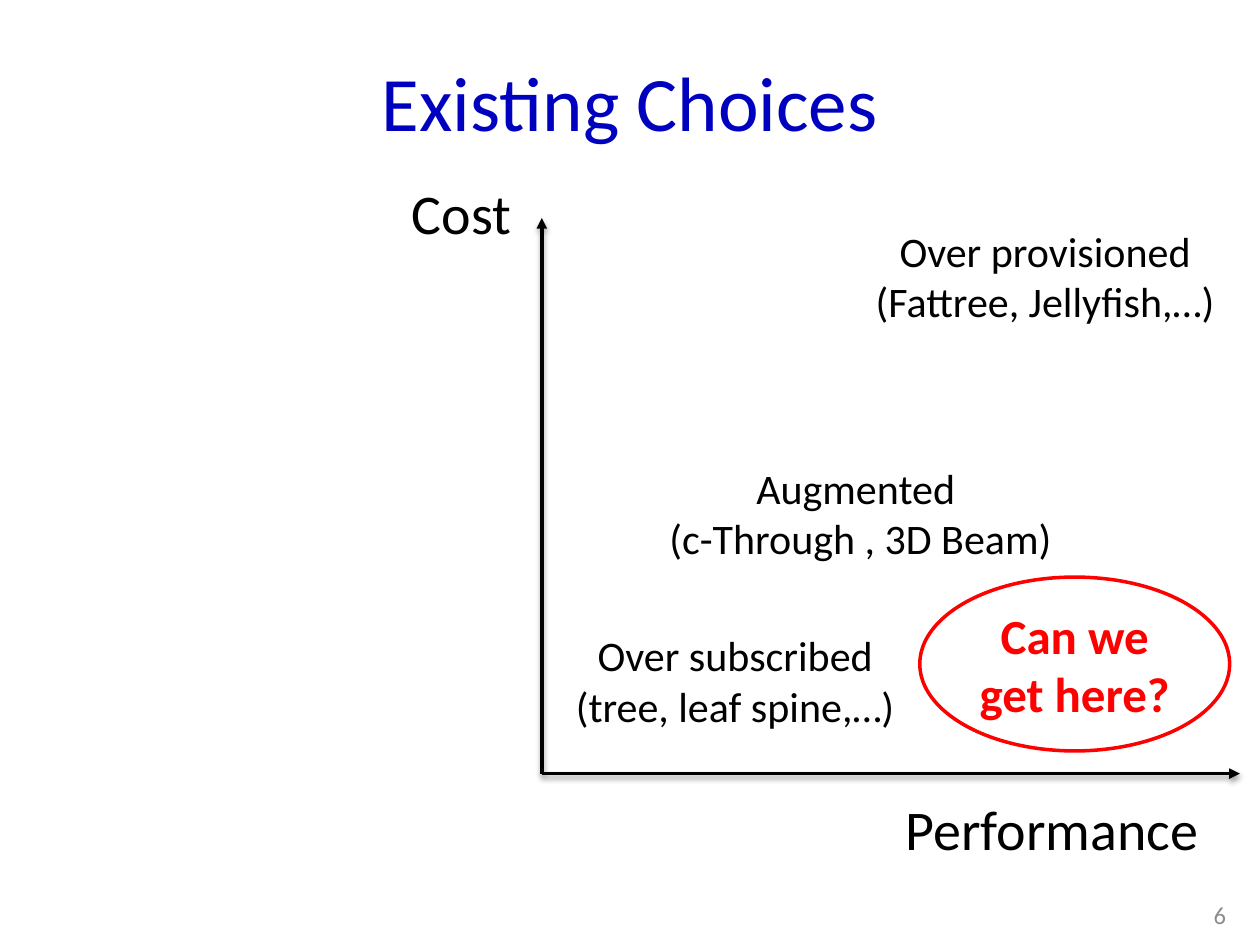
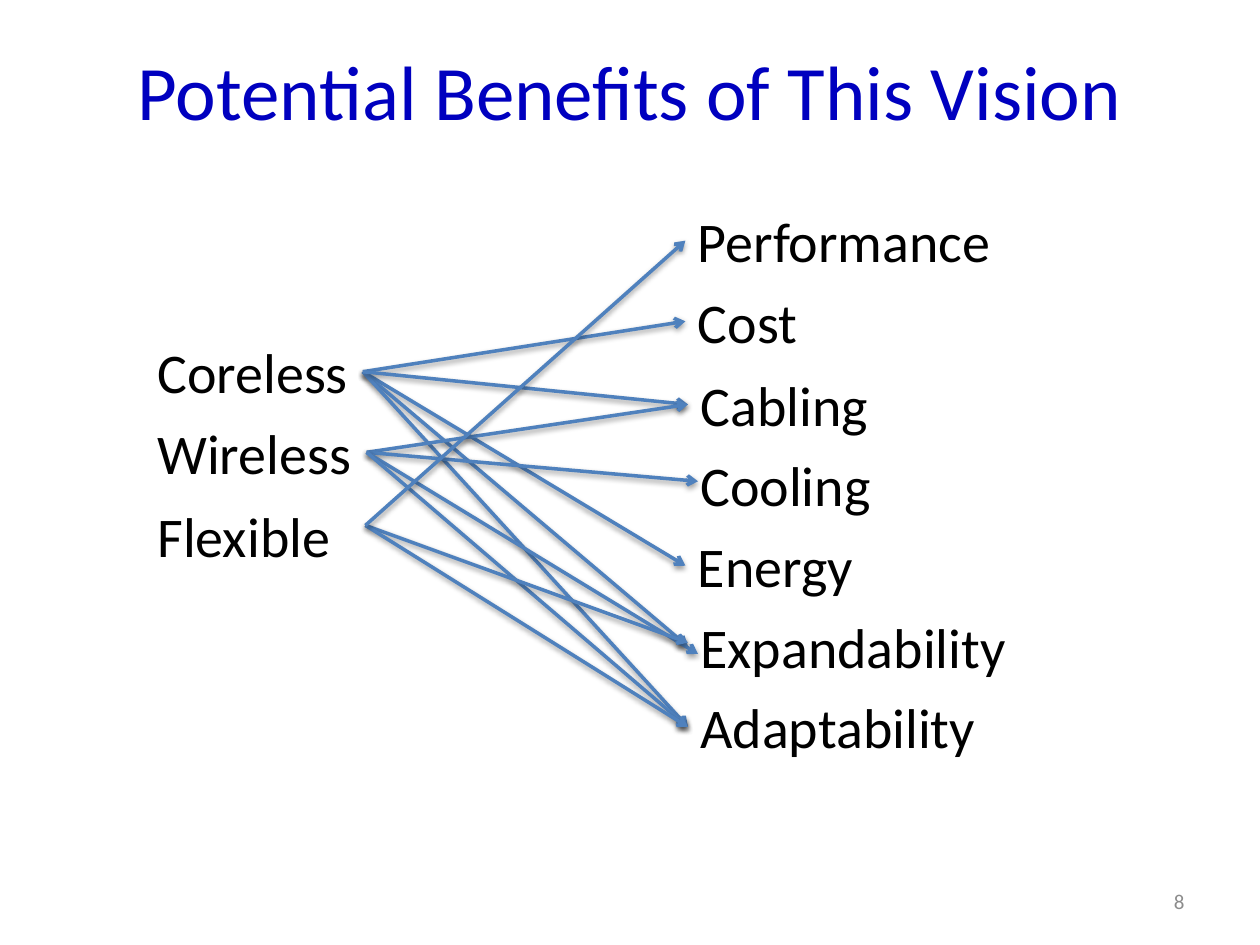
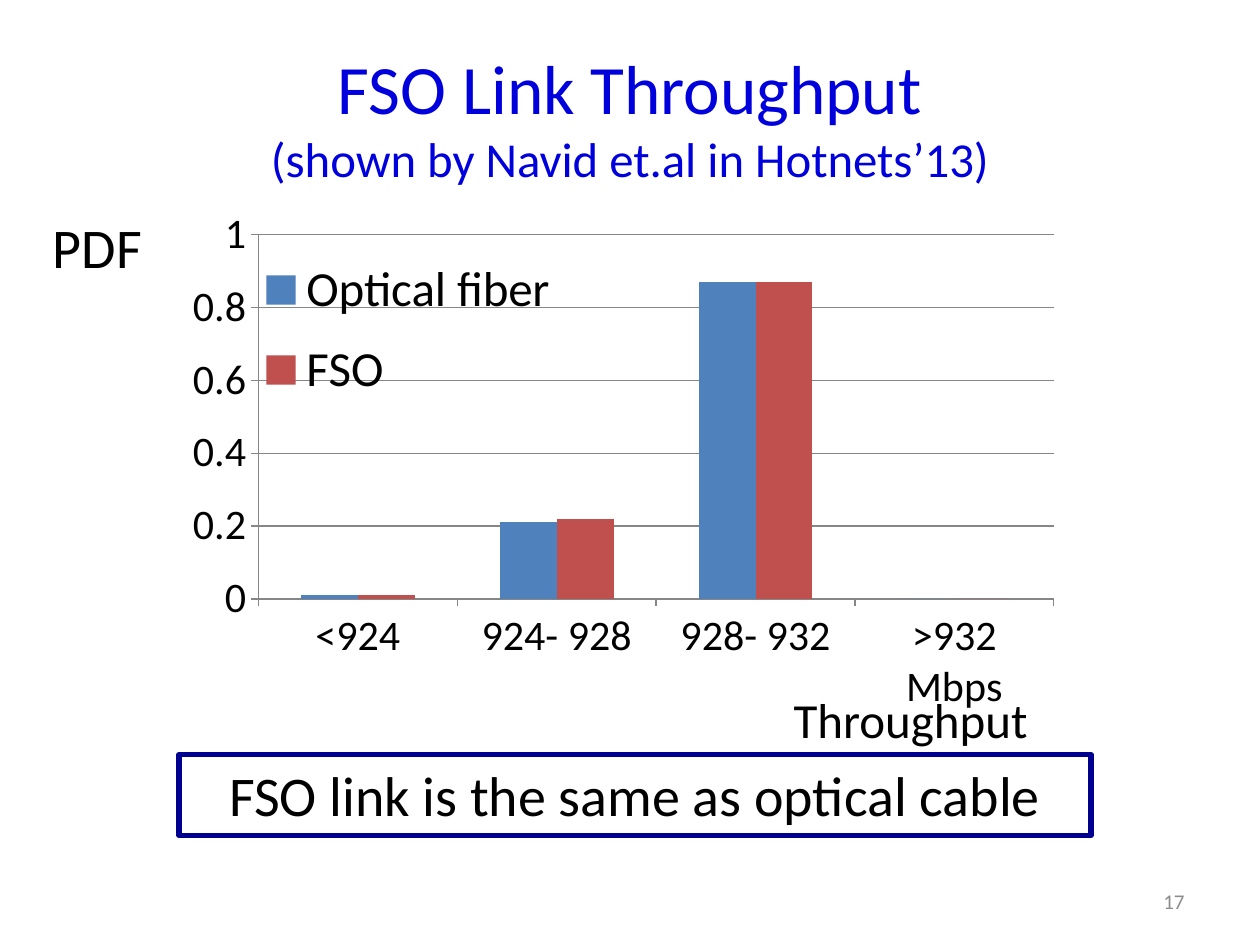
from lxml import etree
from pptx import Presentation, util as u
from pptx.chart.data import CategoryChartData
from pptx.dml.color import RGBColor
from pptx.enum import chart as ch, shapes, text
from pptx.oxml import parse_xml
from pptx.oxml.ns import nsdecls, qn

HUES = {"title": "0000BF", "bright": "0000DD", "ink": "000000", "page": "8C8C8C",
        "paper": "FFFFFF", "red": "FF0000", "blue": "4F81BD", "brick": "C0504D",
        "navy": "000090", "axis": "868686"}
FONT = "Calibri"
W, H = 10, 7.5
ROW = 0.64  # height of one 32 pt line box

# Slide 1: axes and choices
ZERO = (4.3, 6.14)
TIPS = [(4.3, 1.73), (9.84, 6.14)]
NAMES = [("Performance", (7.09, 6.26, 2.57, ROW)), ("Cost", (3.17, 1.37, 1, ROW))]
PICKS = [("Augmented \n(c-Through , 3D Beam)", (5.2, 3.62, 3.26, 0.91)),
         ("Over provisioned\n(Fattree, Jellyfish,…)", (6.83, 1.74, 2.93, 0.91))]

# Slide 2: word -> (left, top, width), and which trait leads to which gain
TRAITS = {"Coreless": (1.15, 2.63, 1.73), "Wireless": (1.15, 3.27, 1.75),
          "Flexible": (1.15, 3.93, 1.59)}
GAINS = {"Performance": (5.44, 1.59, 2.55), "Cost": (5.44, 2.23, 1),
         "Cabling": (5.46, 2.89, 1.55), "Cooling": (5.46, 3.53, 1.57),
         "Energy": (5.44, 4.17, 1.45), "Expandability": (5.46, 4.81, 2.66),
         "Adaptability": (5.46, 5.45, 2.41)}
STARTS = {"Coreless": (2.88, 2.95), "Wireless": (2.91, 3.59), "Flexible": (2.9, 4.17)}
LINKS = {"Coreless": ["Cost", "Energy", "Expandability", "Adaptability", "Cabling"],
         "Wireless": ["Cabling", "Cooling", "Expandability", "Adaptability"],
         "Flexible": ["Expandability", "Adaptability", "Performance"]}
ENDS = {("Wireless", "Cooling"): (5.54, 3.82),
        ("Wireless", "Expandability"): (5.54, 5.19),
        ("Flexible", "Expandability"): (5.46, 5.1)}

# Slide 3: chart
CATS = ["<924", "924- 928", "928- 932", ">932 Mbps"]
SERIES = [("Optical fiber", [0.01, 0.21, 0.87, 0], "blue"),
          ("FSO", [0.01, 0.22, 0.87, 0], "brick")]
PLOT = (0.108, 0.051, 0.756, 0.665)
KEY = (0.11, 0.06, 0.28, 0.33)

LEFT, MID, RIGHT = text.PP_ALIGN.LEFT, text.PP_ALIGN.CENTER, text.PP_ALIGN.RIGHT


def rgb(hue):
    return RGBColor.from_string(HUES[hue])


def write(shape, words, size, hue="ink", align=LEFT, mid=False, grow=True,
          wrap=True, bold=False):
    frame = shape.text_frame
    frame.text = words
    frame.word_wrap = wrap
    frame.auto_size = (text.MSO_AUTO_SIZE.SHAPE_TO_FIT_TEXT if grow
                       else text.MSO_AUTO_SIZE.NONE)
    frame.vertical_anchor = text.MSO_ANCHOR.MIDDLE if mid else text.MSO_ANCHOR.TOP
    for para in frame.paragraphs:
        para.alignment = align
        for run in para.runs:
            run.font.name, run.font.size, run.font.bold = FONT, u.Pt(size), bold
            run.font.color.rgb = rgb(hue)
    return shape


def label(slide, words, at, size, **style):
    return write(slide.shapes.add_textbox(*map(u.Inches, at)), words, size, **style)


def box(slide, words, at, size, edge="paper", thick=2, oval=False, **style):
    kind = shapes.MSO_SHAPE.OVAL if oval else shapes.MSO_SHAPE.RECTANGLE
    shape = slide.shapes.add_shape(kind, *map(u.Inches, at))
    shape.shadow.inherit = False
    shape.fill.solid()
    shape.fill.fore_color.rgb = rgb("paper")
    shape.line.color.rgb = rgb(edge)
    shape.line.width = u.Pt(thick)
    return write(shape, words, size, **style)


def arrow(slide, start, end, hue, head):
    line = slide.shapes.add_connector(shapes.MSO_CONNECTOR.STRAIGHT,
                                      *map(u.Inches, start + end))
    line.line.color.rgb = rgb(hue)
    line.line.width = u.Pt(2)
    props = line.element.spPr
    etree.SubElement(props.find(qn("a:ln")), qn("a:tailEnd"), type=head)
    props.append(parse_xml(
        f'<a:effectLst {nsdecls("a")}><a:outerShdw blurRad="40000" dist="20000" '
        f'dir="5400000" rotWithShape="0"><a:srgbClr val="{HUES["ink"]}">'
        '<a:alpha val="38000"/></a:srgbClr></a:outerShdw></a:effectLst>'))


def start(deck, title, top, high, page, size=44, hue="title", foot=(7.17, 6.95), small=12):
    slide = deck.slides.add_slide(deck.slide_layouts[6])
    head = label(slide, title, (0.5, top, W - 1, high), size, hue=hue, align=MID,
                 mid=True, grow=False)
    label(slide, page, foot + (2.33, 0.4), small, hue="page", align=RIGHT,
          mid=True, grow=False)
    return slide, head


def place(item, spot, inner=False):
    """Fix a chart part at shares of the chart's size."""
    old = item.find(qn("c:layout"))
    if old is not None:
        item.remove(old)
    tags = [("layoutTarget", "inner")] if inner else []
    tags += [("xMode", "edge"), ("yMode", "edge"), *zip("xywh", spot)]
    body = "".join(f'<c:{tag} val="{val}"/>' for tag, val in tags)
    return parse_xml(f'<c:layout {nsdecls("c")}><c:manualLayout>{body}'
                     '</c:manualLayout></c:layout>')


def graph(slide, at):
    data = CategoryChartData()
    data.categories = CATS
    for name, vals, _ in SERIES:
        data.add_series(name, vals)
    chart = slide.shapes.add_chart(ch.XL_CHART_TYPE.COLUMN_CLUSTERED,
                                   *map(u.Inches, at), data).chart
    chart.has_title = False
    chart.font.name, chart.font.size = FONT, u.Pt(10)
    chart.font.color.rgb = rgb("ink")
    plot = chart.plots[0]
    plot.gap_width, plot.overlap, plot.vary_by_categories = 150, 0, False
    for bar, (_, _, hue) in zip(plot.series, SERIES):
        bar.format.fill.solid()
        bar.format.fill.fore_color.rgb = rgb(hue)
    # Axes
    rise = chart.value_axis
    rise.minimum_scale, rise.maximum_scale, rise.major_unit = 0, 1, 0.2
    rise.tick_labels.number_format = "General"
    rise.tick_labels.number_format_is_linked = False
    rise.has_major_gridlines = True
    for axis in (rise, chart.category_axis):
        axis.tick_labels.font.size = u.Pt(24)
        axis.major_tick_mark = ch.XL_TICK_MARK.OUTSIDE
        axis.format.line.color.rgb = rgb("axis")
    rise.major_gridlines.format.line.color.rgb = rgb("axis")
    # Legend laid over the plot
    chart.has_legend = True
    key = chart.legend
    key.position = ch.XL_LEGEND_POSITION.RIGHT
    key.include_in_layout = False
    key.font.size = u.Pt(28)
    root = chart.element
    area, spot = root.find(".//" + qn("c:plotArea")), root.find(".//" + qn("c:legend"))
    area.insert(0, place(area, PLOT, inner=True))
    spot.find(qn("c:legendPos")).addnext(place(spot, KEY))


def choices(deck):
    slide, _ = start(deck, "Existing Choices", 0.17, 1.25, "6", foot=(7.5, 7.06), small=14)
    box(slide, "Over subscribed\n(tree, leaf spine,…)", (4.02, 4.9, 3.63, 1), 24,
        align=MID, mid=True, grow=False)
    for tip in TIPS:
        arrow(slide, ZERO, tip, "ink", "triangle")
    for words, at in NAMES:
        label(slide, words, at, 32, wrap=False)
    for words, at in PICKS:
        label(slide, words, at, 24, align=MID, wrap=False)
    box(slide, "Can we get here?", (7.3, 4.58, 2.46, 1.38), 28, edge="red", oval=True,
        hue="red", align=MID, mid=True, grow=False, bold=True)


def benefits(deck):
    slide, _ = start(deck, "Potential Benefits of This Vision", 0, 1.43, "8")
    for word, at in (GAINS | TRAITS).items():
        box(slide, word, at + (ROW,), 32, wrap=False)
    for trait, gains in LINKS.items():
        for gain in gains:
            left, top, _ = GAINS[gain]
            end = ENDS.get((trait, gain), (left, top + ROW / 2))
            arrow(slide, STARTS[trait], end, "blue", "arrow")


def speed(deck):
    slide, head = start(deck, "FSO Link Throughput\v(shown by Navid et.al in Hotnets’13)",
                        0.3, 1.25, "17", size=39.6, hue="bright")
    head.text_frame.paragraphs[0].runs[1].font.size = u.Pt(27.9)
    graph(slide, (1.15, 1.64, 8.35, 4.35))
    label(slide, "PDF", (0.32, 1.64, 1.11, ROW), 32)
    unit = label(slide, "Throughput", (6.2, 5.42, 2.28, 0.57), 28)
    props = unit.text_frame.paragraphs[0]._p.get_or_add_pPr()
    props.set("marL", str(u.Inches(0.38)))
    props.set("indent", str(u.Inches(-0.38)))
    gap = etree.SubElement(props, qn("a:spcBef"))
    etree.SubElement(gap, qn("a:spcPct"), val="20000")
    box(slide, "FSO link is the same as optical cable", (1.42, 5.99, 7.24, ROW), 32,
        edge="navy", thick=3, align=MID)


def main():
    deck = Presentation()
    deck.slide_width, deck.slide_height = u.Inches(W), u.Inches(H)
    for build in (choices, benefits, speed):
        build(deck)
    deck.save("out.pptx")


if __name__ == "__main__":
    main()
